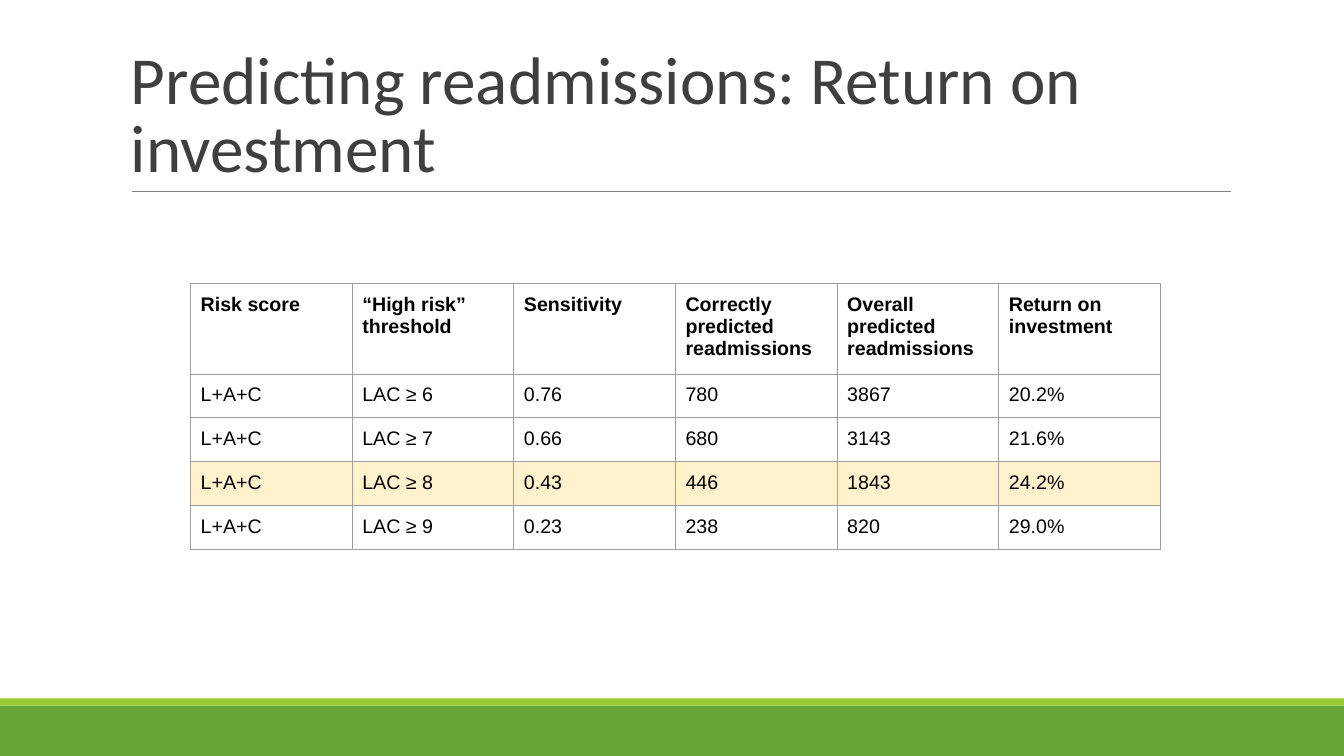
from lxml.etree import SubElement
from pptx import Presentation
from pptx.dml.color import RGBColor
from pptx.enum.shapes import MSO_CONNECTOR as Connector, MSO_SHAPE as Shape
from pptx.enum.text import MSO_ANCHOR as Anchor
from pptx.oxml import parse_xml
from pptx.oxml.ns import nsdecls, qn
from pptx.util import Inches, Pt

WIDTH, HEIGHT = 13.33, 7.5
TITLE_FORMAT = {"name": "Calibri", "size": Pt(48), "bold": False}
CELL_FORMAT = {"name": "Arial", "size": Pt(14)}
TABLE_WIDTH, HEADER_HEIGHT, ROW_HEIGHT = 9.62, 0.85, 0.43
HIGHLIGHTED_ROW = 3
ROWS = [
    ("Risk score", "“High risk” threshold", "Sensitivity",
     "Correctly predicted readmissions", "Overall predicted readmissions",
     "Return on investment"),
    ("L+A+C", "LAC ≥ 6", "0.76", "780", "3867", "20.2%"),
    ("L+A+C", "LAC ≥ 7", "0.66", "680", "3143", "21.6%"),
    ("L+A+C", "LAC ≥ 8", "0.43", "446", "1843", "24.2%"),
    ("L+A+C", "LAC ≥ 9", "0.23", "238", "820", "29.0%"),
]


def paint(target, color):
    """Give a fill a solid colour from a hex string."""
    target.solid()
    target.fore_color.rgb = RGBColor.from_string(color)


def add_span(para, text, color, **formats):
    """Add a formatted run of text to a paragraph."""
    span = para.add_run()
    span.text = text
    for name, value in formats.items():
        setattr(span.font, name, value)
    paint(span.font.fill, color)


def add_band(page, top, height, color):
    """Draw a full-width band."""
    band = page.shapes.add_shape(
        Shape.RECTANGLE, 0, Inches(top), Inches(WIDTH), Inches(height))
    band.shadow.inherit = False
    paint(band.fill, color)
    band.line.fill.background()


def add_rule(page, left, right, top, color):
    """Draw a thin horizontal line."""
    rule = page.shapes.add_connector(
        Connector.STRAIGHT, Inches(left), Inches(top), Inches(right), Inches(top))
    paint(rule.line.fill, color)
    rule.line.width = Pt(0.75)
    SubElement(rule._element.spPr, qn("a:effectLst"))


def add_title(page, text):
    """Add the slide heading, resting on the rule."""
    box = page.shapes.add_textbox(Inches(1.2), Inches(0.31), Inches(11), Inches(1.59))
    frame = box.text_frame
    frame.word_wrap = True
    frame.vertical_anchor = Anchor.BOTTOM
    para = frame.paragraphs[0]
    para.line_spacing = 0.85
    add_span(para, text, "3F3F3F", **TITLE_FORMAT)


def add_borders(cell, color):
    """Outline a table cell on all four sides."""
    properties = cell._tc.get_or_add_tcPr()
    for index, side in enumerate("LRTB"):
        properties.insert(index, parse_xml(
            f'<a:ln{side} {nsdecls("a")} w="{Pt(0.75)}"><a:solidFill>'
            f'<a:srgbClr val="{color}"/></a:solidFill></a:ln{side}>'))


def fill_cell(cell, text, bold, highlighted):
    """Write and style one table cell."""
    for side in ("left", "right", "top", "bottom"):
        setattr(cell, f"margin_{side}", Inches(0.1))
    if highlighted:
        paint(cell.fill, "FFF2CC")
    else:
        cell.fill.background()
    add_borders(cell, "9E9E9E")
    add_span(cell.text_frame.paragraphs[0], text, "000000", bold=bold, **CELL_FORMAT)


def add_score_table(page, left, top):
    """Add the table of thresholds and returns."""
    columns = len(ROWS[0])
    heights = [HEADER_HEIGHT] + [ROW_HEIGHT] * (len(ROWS) - 1)
    table = page.shapes.add_table(
        len(ROWS), columns, Inches(left), Inches(top),
        Inches(TABLE_WIDTH), Inches(sum(heights))).table
    table.horz_banding = False
    table.first_row = False
    for column in table.columns:
        column.width = Inches(TABLE_WIDTH / columns)
    for row, (height, values) in enumerate(zip(heights, ROWS)):
        table.rows[row].height = Inches(height)
        for column, text in enumerate(values):
            fill_cell(table.cell(row, column), text, row == 0, row == HIGHLIGHTED_ROW)


def main():
    """Build and save the slide."""
    deck = Presentation()
    deck.slide_width, deck.slide_height = Inches(WIDTH), Inches(HEIGHT)
    page = deck.slides.add_slide(deck.slide_layouts[6])
    add_band(page, 7, 0.5, "63A537")
    add_band(page, 6.93, 0.07, "99CB38")
    add_rule(page, 1.31, 12.21, 1.9, "7F7F7F")
    add_title(page, "Predicting readmissions: Return on investment")
    add_score_table(page, 1.89, 2.81)
    deck.save("out.pptx")


if __name__ == "__main__":
    main()
